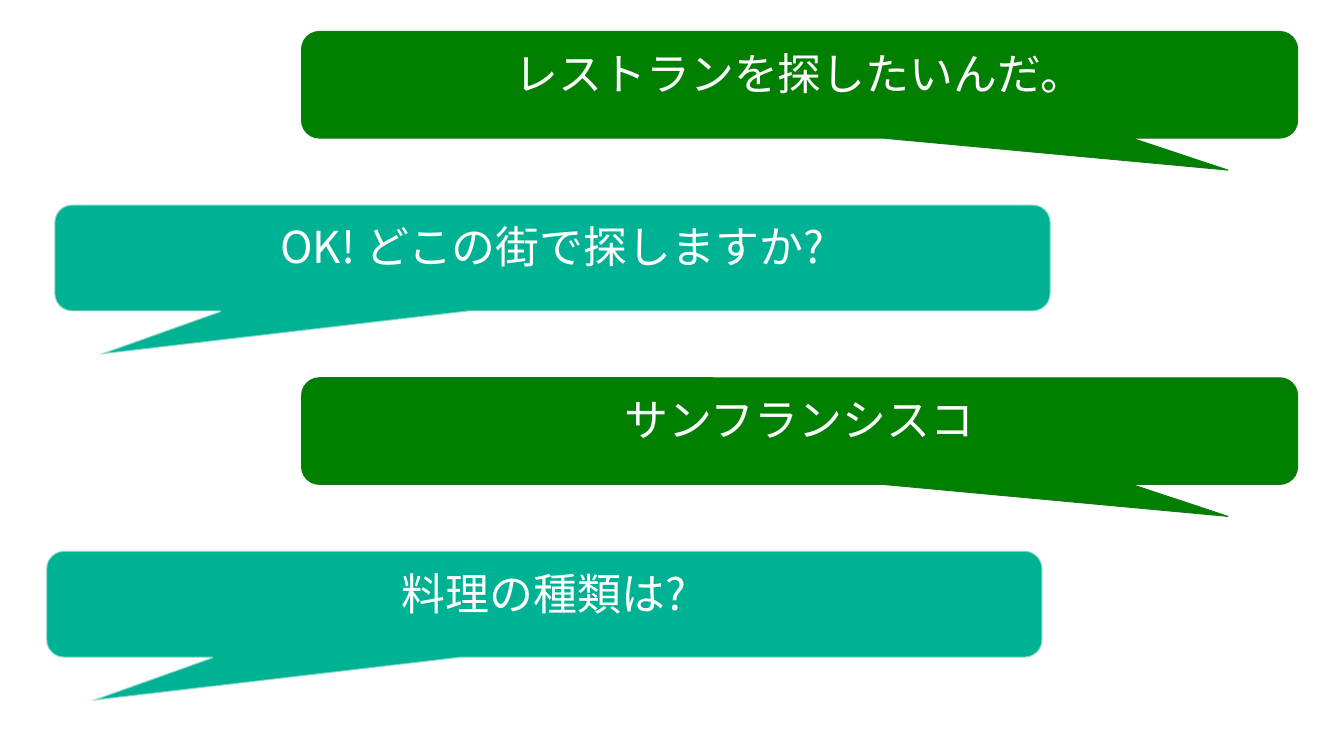
"""Build a chat dialogue slide of alternating speech bubbles."""
from dataclasses import dataclass

from lxml.etree import SubElement
from pptx import Presentation
from pptx.dml.color import RGBColor
from pptx.enum.shapes import MSO_SHAPE as Preset
from pptx.enum.text import MSO_ANCHOR as Anchor, PP_ALIGN as Align
from pptx.oxml.ns import qn
from pptx.slide import Slide
from pptx.util import Cm, Pt


@dataclass(frozen=True)
class Theme:
    """Colours and type sizes of the slide."""
    user_fill: str = "007F00"
    user_line: str = "107C10"
    bot_fill: str = "00B294"
    bot_line: str = "F9F9F9"
    text: str = "FFFFFF"
    font: str = "Noto Sans CJK JP"
    size: float = 32


@dataclass(frozen=True)
class Speaker:
    """Bubble look shared by all messages of one speaker."""
    fill: str
    line: str
    line_width: float
    line_opacity: int
    tail_x: float
    tail_y: float


@dataclass(frozen=True)
class Message:
    """One line of the dialogue."""
    speaker: Speaker
    left: float
    text: str


THEME = Theme()
USER = Speaker(THEME.user_fill, THEME.user_line, 0.75, 100, 0.43, 0.8)
BOT = Speaker(THEME.bot_fill, THEME.bot_line, 1.35, 50, -0.455, 0.906)
MESSAGES = (
    Message(USER, 7.75, "レストランを探したいんだ。"),
    Message(BOT, 1.4, "OK! どこの街で探しますか?"),
    Message(USER, 7.75, "サンフランシスコ"),
    Message(BOT, 1.19, "料理の種類は?"),
)
FIRST_TOP, PITCH = 0.81, 4.45
BUBBLE_WIDTH, BUBBLE_HEIGHT = 25.6, 2.74
CORNER = 0.167


def add_bubble(slide: Slide, message: Message, top: float) -> None:
    """Draw one speech bubble with its text."""
    speaker = message.speaker
    shape = slide.shapes.add_shape(
        Preset.ROUNDED_RECTANGULAR_CALLOUT,
        Cm(message.left), Cm(top), Cm(BUBBLE_WIDTH), Cm(BUBBLE_HEIGHT))
    for index, value in enumerate((speaker.tail_x, speaker.tail_y, CORNER)):
        shape.adjustments[index] = value
    shape.shadow.inherit = False
    shape.fill.solid()
    shape.fill.fore_color.rgb = RGBColor.from_string(speaker.fill)
    shape.line.color.rgb = RGBColor.from_string(speaker.line)
    shape.line.width = Pt(speaker.line_width)
    if speaker.line_opacity < 100:
        colour = shape.line._ln.find(".//" + qn("a:srgbClr"))
        SubElement(colour, qn("a:alpha"), val=str(speaker.line_opacity * 1000))
    write_text(shape.text_frame, message.text)


def write_text(frame, text: str) -> None:
    """Set the centred message text at the top of the bubble."""
    frame.word_wrap = True
    frame.vertical_anchor = Anchor.TOP
    frame.margin_left = frame.margin_right = Cm(0.51)
    frame.margin_top = frame.margin_bottom = Cm(0.41)
    paragraph = frame.paragraphs[0]
    paragraph.text = text
    paragraph.alignment = Align.CENTER
    paragraph.line_spacing = 0.9
    font = paragraph.font
    font.size = Pt(THEME.size)
    font.color.rgb = RGBColor.from_string(THEME.text)
    font.name = THEME.font
    properties = paragraph._p.pPr.find(qn("a:defRPr"))
    SubElement(properties, qn("a:ea"), typeface=THEME.font)


def main() -> None:
    """Create and save the presentation."""
    presentation = Presentation()
    presentation.slide_width = Cm(34.54)
    presentation.slide_height = Cm(19.43)
    slide = presentation.slides.add_slide(presentation.slide_layouts[6])
    for row, message in enumerate(MESSAGES):
        add_bubble(slide, message, FIRST_TOP + row * PITCH)
    presentation.save("out.pptx")


if __name__ == "__main__":
    main()
